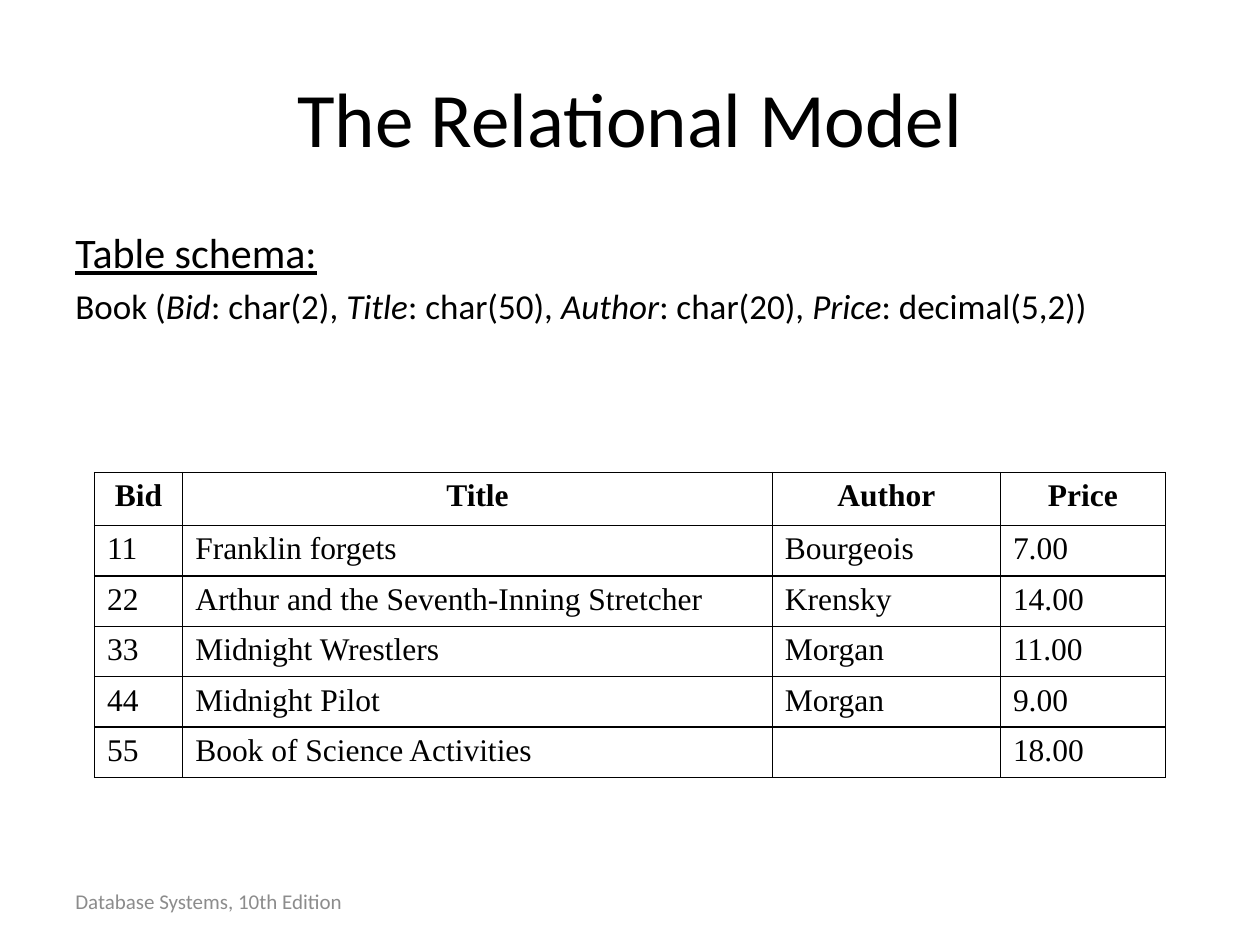
"""Build the slide on the relational model with its book table."""
from lxml import etree
from pptx import Presentation
from pptx.dml.color import RGBColor
from pptx.enum import text as t
from pptx.oxml.ns import qn
from pptx.util import Inches, Pt

INK = {"text": "000000", "foot": "8C8C8C", "line": "000000"}
TITLE = ["The Relational Model"]
HEAD = "Table schema:"
SCHEMA = [("Bid", "char(2), "), ("Title", "char(50), "),
          ("Author", "char(20), "), ("Price", "decimal(5,2))")]
FOOT = ["Database Systems, 10th Edition"]
BOOKS = [
    ("Bid", "Title", "Author", "Price"),
    ("11", "Franklin forgets", "Bourgeois", "7.00"),
    ("22", "Arthur and the Seventh-Inning Stretcher", "Krensky", "14.00"),
    ("33", "Midnight Wrestlers", "Morgan", "11.00"),
    ("44", "Midnight Pilot", "Morgan", "9.00"),
    ("55", "Book of Science Activities", "", "18.00"),
]
COLS = [0.7, 4.68, 1.81, 1.31]
HEAD_H, ROW_H = 0.42, 0.38


def write(par, words, size=18, face="Calibri", ink="text", align="LEFT",
          bold=False, italic=False, under=False):
    par.alignment = getattr(t.PP_ALIGN, align)
    run = par.add_run()
    run.text = words
    font = run.font
    font.size, font.name = Pt(size), face
    font.bold, font.italic, font.underline = bold, italic, under
    font.color.rgb = RGBColor.from_string(INK[ink])


def box(slide, place, lines, anchor="MIDDLE", **form):
    frame = slide.shapes.add_textbox(*map(Inches, place)).text_frame
    frame.word_wrap = True
    frame.vertical_anchor = getattr(t.MSO_ANCHOR, anchor)
    for i, line in enumerate(lines):
        par = frame.add_paragraph() if i else frame.paragraphs[0]
        write(par, line, **form)
    return frame


def edge(cell):
    props = cell._tc.get_or_add_tcPr()
    for i, side in enumerate(("lnL", "lnR", "lnT", "lnB")):
        line = etree.Element(qn("a:" + side), w=str(Pt(1)))
        fill = etree.SubElement(line, qn("a:solidFill"))
        etree.SubElement(fill, qn("a:srgbClr"), val=INK["line"])
        props.insert(i, line)


def table(slide):
    high = HEAD_H + ROW_H * (len(BOOKS) - 1)
    place = map(Inches, (0.75, 3.75, sum(COLS), high))
    grid = slide.shapes.add_table(len(BOOKS), len(COLS), *place).table
    for col, wide in zip(grid.columns, COLS):
        col.width = Inches(wide)
    for r, book in enumerate(BOOKS):
        head = r == 0
        grid.rows[r].height = Inches(HEAD_H if head else ROW_H)
        for c, words in enumerate(book):
            cell = grid.cell(r, c)
            cell.fill.background()
            edge(cell)
            write(cell.text_frame.paragraphs[0], words, bold=head,
                  face="Times New Roman", align="CENTER" if head else "LEFT")


def main():
    deck = Presentation()
    deck.slide_width, deck.slide_height = Inches(10), Inches(7.5)
    slide = deck.slides.add_slide(deck.slide_layouts[6])
    box(slide, (0.5, 0.3, 9, 1.25), TITLE, size=44, align="CENTER")
    body = box(slide, (0.5, 1.75, 9, 4.95), [HEAD], anchor="TOP",
               size=24, under=True)
    par = body.add_paragraph()
    par.space_before = Pt(4)
    write(par, "Book (", size=20)
    for name, kind in SCHEMA:
        write(par, name, size=20, italic=True)
        write(par, ": " + kind, size=20)
    box(slide, (0.5, 6.95, 2.33, 0.4), FOOT, size=12, ink="foot")
    table(slide)
    deck.save("out.pptx")


if __name__ == "__main__":
    main()
